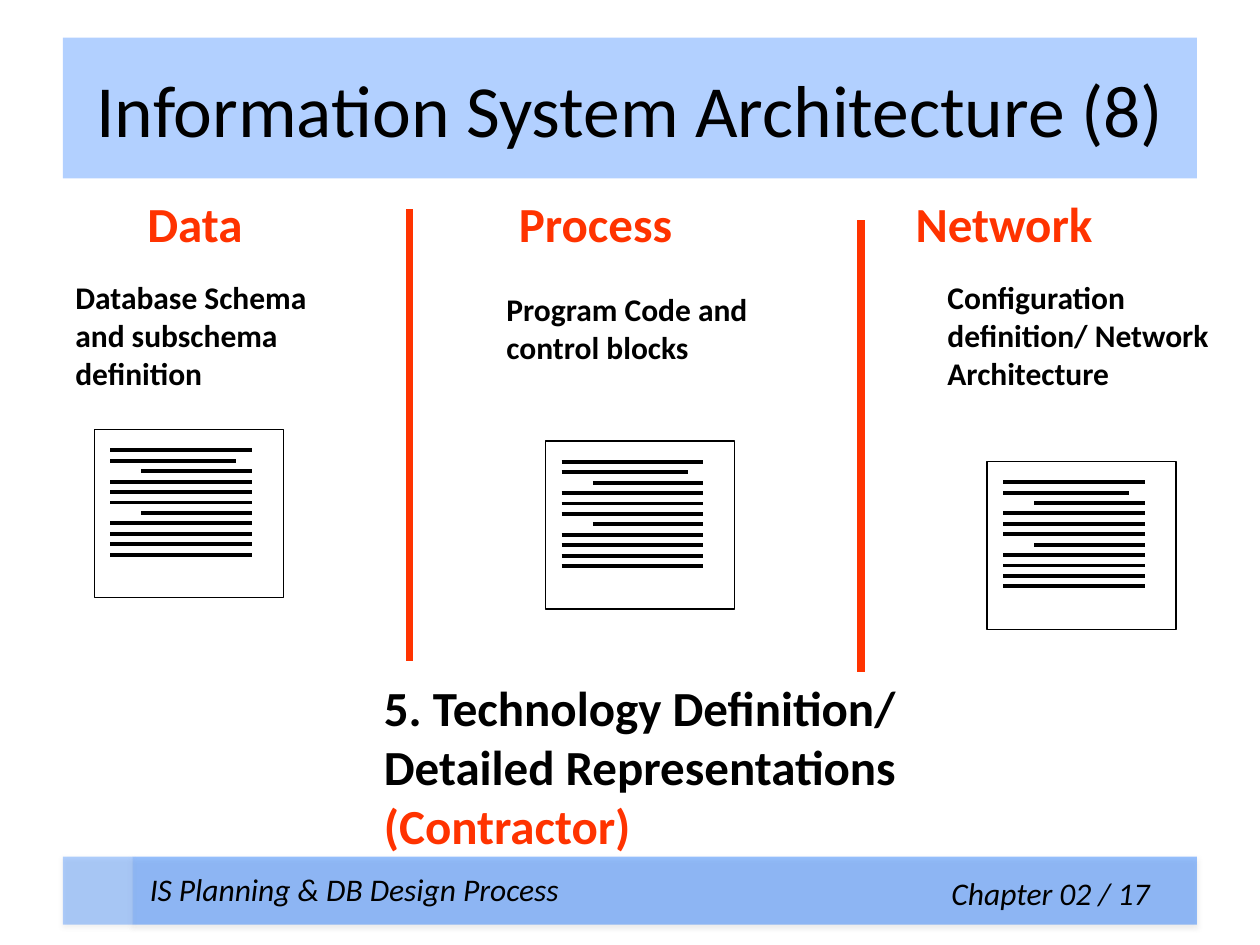
from pptx import Presentation
from pptx.dml.color import RGBColor
from pptx.enum.shapes import MSO_CONNECTOR, MSO_SHAPE
from pptx.enum.text import MSO_ANCHOR, PP_ALIGN
from pptx.oxml import parse_xml
from pptx.oxml.ns import nsdecls, qn
from pptx.oxml.xmlchemy import OxmlElement
from pptx.util import Cm, Pt

RECT, LINE = MSO_SHAPE.RECTANGLE, MSO_CONNECTOR.STRAIGHT
LEFT, MID, RIGHT = PP_ALIGN.LEFT, PP_ALIGN.CENTER, PP_ALIGN.RIGHT
TOP, CENTRE = MSO_ANCHOR.TOP, MSO_ANCHOR.MIDDLE
FONT = "Calibri"
HUE = {"ink": "000000", "red": "FF3300", "blue": "0066FF", "shade": "808080"}

# Content: lengths in cm
TITLE = "Information System Architecture (8)"
HEADS = ["Data", "Process", "Network"]
TABS = [7.49, 15.49]
LEVEL = ["5. Technology Definition/", "Detailed Representations", "(Contractor)"]
NOTES = [
    (1.27, 5.49, 5.46, ["Database Schema", "and subschema", "definition"]),
    (9.96, 5.72, 5.69, ["Program Code and", "control blocks"]),
    (18.85, 5.49, 5.82, ["Configuration", "definition/ Network", "Architecture"]),
]
PAGES = [(1.9, 8.66), (11, 8.89), (19.9, 9.3)]
RULES = [(3.25 * 2.54, 4.22), (6.83 * 2.54, 4.44)]

# Code lines on a page: start and end from its left edge
FULL, SHORT, INNER = (0.32, 3.18), (0.32, 2.86), (0.95, 3.18)
CODE = [FULL, SHORT, INNER] + [FULL] * 3 + [INNER] + [FULL] * 4
FIRST, STEP = 0.42, 0.21

deck = Presentation()
deck.slide_width, deck.slide_height = Cm(25.4), Cm(19.05)
slide = deck.slides.add_slide(deck.slide_layouts[6])
parts = slide.shapes


def tint(name):
    return RGBColor.from_string(HUE[name])


def text(lines, box, size=18, bold=False, ital=False, hues=(), align=LEFT,
         anchor=TOP, wrap=False, tabs=(), inset=0.25):
    shape = parts.add_textbox(*map(Cm, box))
    frame = shape.text_frame
    frame.word_wrap, frame.vertical_anchor = wrap, anchor
    frame.margin_right = Cm(inset)
    for i, line in enumerate(lines):
        para = frame.paragraphs[0] if i == 0 else frame.add_paragraph()
        para.alignment = align
        if tabs:
            stops = OxmlElement("a:tabLst")
            for pos in tabs:
                stop = OxmlElement("a:tab")
                stop.set("pos", str(Cm(pos)))
                stop.set("algn", "l")
                stops.append(stop)
            para._p.get_or_add_pPr().append(stops)
        run = para.add_run()
        run.text = line
        font = run.font
        font.name, font.size, font.bold, font.italic = FONT, Pt(size), bold, ital
        font.color.rgb = tint(hues[i] if hues else "ink")
    return shape


def fade(shape, share):
    shape.fill.solid()
    shape.fill.fore_color.rgb = tint("blue")
    alpha = OxmlElement("a:alpha")
    alpha.set("val", str(share * 1000))
    shape._element.spPr.find(qn("a:solidFill"))[0].append(alpha)


def band(box, share):
    shape = parts.add_shape(RECT, *map(Cm, box))
    fade(shape, share)
    shape.line.fill.background()
    shape.shadow.inherit = False
    shape._element.spPr.find(qn("a:effectLst")).append(parse_xml(
        f'<a:outerShdw {nsdecls("a")} blurRad="{Pt(3.1)}" dist="{Pt(1.6)}" '
        f'dir="5400000" rotWithShape="0"><a:srgbClr val="{HUE["shade"]}">'
        '<a:alpha val="38000"/></a:srgbClr></a:outerShdw>'))


def rule(x1, y1, x2, y2, hue, width):
    line = parts.add_connector(LINE, *map(Cm, (x1, y1, x2, y2)))
    line.line.color.rgb = tint(hue)
    line.line.width = Pt(width)
    line._element.spPr.append(OxmlElement("a:effectLst"))


# Title and footer
band((2.67, 17.27, 21.46, 1.37), 40)
head = text([TITLE], (1.27, 0.76, 22.86, 2.84), size=42, align=MID,
            anchor=CENTRE, wrap=True)
fade(head, 30)
band((1.27, 17.27, 1.4, 1.37), 30)
text(["IS Planning & DB Design Process"], (2.77, 17.42, 9.3, 1.02),
     ital=True, wrap=True)
text(["Chapter 02 / 17"], (13.34, 17.5, 10.8, 1.02), ital=True, align=RIGHT,
     wrap=True, inset=0.96)

# Column heads and level name
text(["\t".join(HEADS)], (2.72, 3.78, 21, 1.45), size=28, bold=True,
     hues=["red"], wrap=True, tabs=TABS)
text(LEVEL, (7.49, 13.54, 11.13, 3.81), size=28, bold=True,
     hues=["ink", "ink", "red"])

# Column dividers
for x, y in RULES:
    rule(x, y, x, y + 9.1, "red", 4.5)

# Notes and pages of code
for x, y, w, lines in NOTES:
    text(lines, (x, y, w, 0.25 + 0.76 * len(lines)), bold=True)
for x, y in PAGES:
    page = parts.add_shape(RECT, *map(Cm, (x, y, 3.81, 3.39)))
    page.fill.background()
    page.line.color.rgb = tint("ink")
    page.line.width = Pt(0.75)
    page.shadow.inherit = False
    for i, (start, end) in enumerate(CODE):
        row = y + FIRST + i * STEP
        rule(x + start, row, x + end, row, "ink", 2.25)

deck.save("out.pptx")
